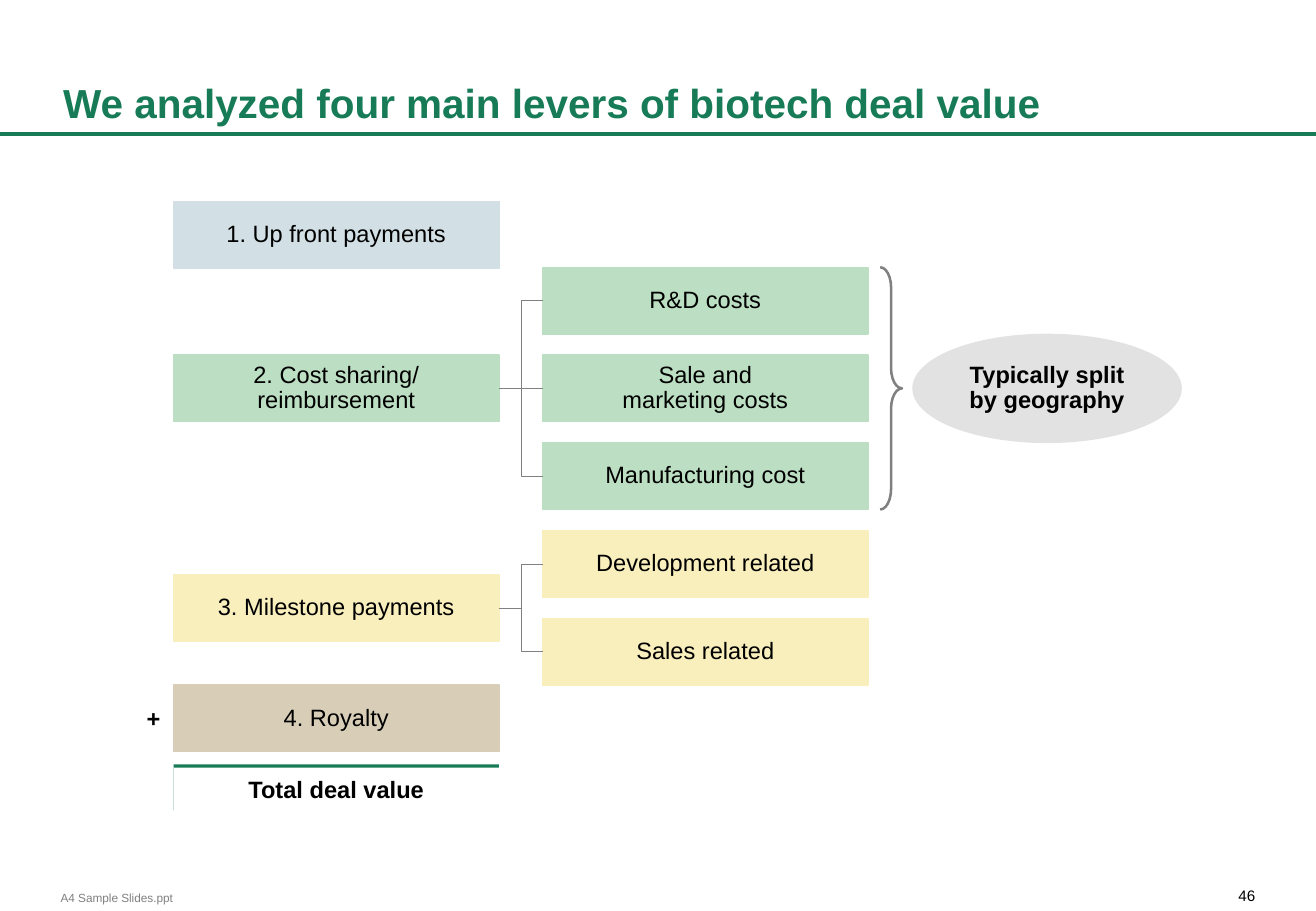
from dataclasses import dataclass

from lxml.etree import SubElement
from pptx import Presentation
from pptx.dml.color import RGBColor
from pptx.enum.shapes import MSO_CONNECTOR, MSO_SHAPE
from pptx.enum.text import MSO_ANCHOR, PP_ALIGN
from pptx.oxml.ns import qn
from pptx.util import Inches, Pt


@dataclass(frozen=True)
class Theme:
    font: str = "Arial"
    green: str = "177B57"
    ink: str = "000000"
    gray: str = "808080"
    paper: str = "FFFFFF"
    upfront: str = "D2E0E6"
    cost: str = "BCDEC2"
    milestone: str = "F9EFBD"
    royalty: str = "D8CEB8"
    callout: str = "E2E2E2"
    title_size: int = 24
    body_size: int = 14
    number_size: int = 9
    footer_size: int = 7


THEME = Theme()

TITLE = "We analyzed four main levers of biotech deal value"
LEVERS = [
    ("1. Up front payments", THEME.upfront, 1.66, []),
    ("2. Cost sharing/\nreimbursement", THEME.cost, None,
     ["R&D costs", "Sale and\nmarketing costs", "Manufacturing cost"]),
    ("3. Milestone payments", THEME.milestone, None,
     ["Development related", "Sales related"]),
    ("4. Royalty", THEME.royalty, 5.64, []),
]
SPLIT_NOTE = "Typically split\nby geography"
SPLIT_LEVER = 1
TOTAL = "Total deal value"
PLUS = "+"
FOOTER = "A4 Sample Slides.ppt"
PAGE_NUMBER = "46"

SLIDE_W, SLIDE_H = 10.84, 7.5
LEVER_X, PART_X = 1.43, 4.47
BOX_W, BOX_H = 2.68, 0.55
FIRST_PART_Y, LAST_PART_Y = 2.2, 5.09
PART_COUNT = sum(len(parts) for _, _, _, parts in LEVERS)
PART_PITCH = (LAST_PART_Y - FIRST_PART_Y) / (PART_COUNT - 1)
BRACE_X, BRACE_W = 7.25, 0.18
NOTE_X, NOTE_W, NOTE_H = 7.52, 2.21, 0.89

prs = Presentation()
prs.slide_width, prs.slide_height = Inches(SLIDE_W), Inches(SLIDE_H)
slide = prs.slides.add_slide(prs.slide_layouts[6])


def rgb(color):
    return RGBColor.from_string(color)


def write(shape, text, size=THEME.body_size, color=THEME.ink, bold=False,
          align=PP_ALIGN.CENTER, anchor=MSO_ANCHOR.MIDDLE, spacing=0.9,
          margins=(0.1, 0.05)):
    frame = shape.text_frame
    frame.word_wrap = True
    frame.vertical_anchor = anchor
    frame.margin_left = frame.margin_right = Inches(margins[0])
    frame.margin_top = frame.margin_bottom = Inches(margins[1])
    frame.text = text
    for paragraph in frame.paragraphs:
        paragraph.alignment = align
        paragraph.line_spacing = spacing
        paragraph.font.name = THEME.font
        paragraph.font.size = Pt(size)
        paragraph.font.bold = bold
        paragraph.font.color.rgb = rgb(color)


def add_label(text, x, y, w, h, **text_format):
    label = slide.shapes.add_textbox(Inches(x), Inches(y), Inches(w), Inches(h))
    write(label, text, spacing=1.0, **text_format)


def add_block(kind, x, y, w, h, fill=None, line=None, weight=0.75):
    block = slide.shapes.add_shape(kind, Inches(x), Inches(y), Inches(w), Inches(h))
    block.shadow.inherit = False
    if fill:
        block.fill.solid()
        block.fill.fore_color.rgb = rgb(fill)
    else:
        block.fill.background()
    if line:
        block.line.color.rgb = rgb(line)
        block.line.width = Pt(weight)
    else:
        block.line.fill.background()
    return block


def add_box(text, x, y, color):
    box = add_block(MSO_SHAPE.RECTANGLE, x, y, BOX_W, BOX_H, color, color)
    write(box, text)
    return box


def add_line(kind, x1, y1, x2, y2, color, weight):
    line = slide.shapes.add_connector(kind, Inches(x1), Inches(y1), Inches(x2), Inches(y2))
    line.line.color.rgb = rgb(color)
    line.line.width = Pt(weight)
    SubElement(line._element.spPr, qn("a:effectLst"))
    return line


def link(lever, part, lever_y, part_y):
    level = abs(lever_y - part_y) < 0.01
    kind = MSO_CONNECTOR.STRAIGHT if level else MSO_CONNECTOR.ELBOW
    branch = add_line(kind, LEVER_X + BOX_W, lever_y + BOX_H / 2,
                      PART_X, part_y + BOX_H / 2, THEME.gray, 0.25)
    branch.begin_connect(lever, 3)
    branch.end_connect(part, 1)


def add_top_shadow(shape, color, distance):
    effects = shape._element.spPr.find(qn("a:effectLst"))
    shadow = SubElement(effects, qn("a:outerShdw"), dist=str(Pt(distance)),
                        dir="16200000", algn="ctr", rotWithShape="0")
    SubElement(shadow, qn("a:srgbClr"), val=color)


def add_split_note(top, bottom):
    brace = add_block(MSO_SHAPE.RIGHT_BRACE, BRACE_X, top, BRACE_W, bottom - top,
                      line=THEME.gray, weight=1.5)
    brace.adjustments[0] = 0.93
    note = add_block(MSO_SHAPE.OVAL, NOTE_X, (top + bottom - NOTE_H) / 2,
                     NOTE_W, NOTE_H, THEME.callout, THEME.callout)
    write(note, SPLIT_NOTE, bold=True)


add_line(MSO_CONNECTOR.STRAIGHT, 0, 1.1, SLIDE_W, 1.1, THEME.green, 2.25)
add_label(TITLE, 0.52, 0.18, 9.82, 0.91, size=THEME.title_size, color=THEME.green,
          bold=True, align=PP_ALIGN.LEFT, anchor=MSO_ANCHOR.BOTTOM, margins=(0, 0.05))

next_part_y = FIRST_PART_Y
for index, (name, color, fixed_y, part_names) in enumerate(LEVERS):
    part_ys = [next_part_y + PART_PITCH * i for i in range(len(part_names))]
    next_part_y += PART_PITCH * len(part_names)
    lever_y = (part_ys[0] + part_ys[-1]) / 2 if part_ys else fixed_y
    lever = add_box(name, LEVER_X, lever_y, color)
    for part_name, part_y in zip(part_names, part_ys):
        part = add_box(part_name, PART_X, part_y, color)
        link(lever, part, lever_y, part_y)
    if index == SPLIT_LEVER:
        add_split_note(part_ys[0], part_ys[-1] + BOX_H)

total = add_block(MSO_SHAPE.RECTANGLE, LEVER_X, 6.32, BOX_W, 0.38, THEME.paper)
add_top_shadow(total, THEME.green, 2)
write(total, TOTAL, bold=True)
add_label(PLUS, 1.11, 5.75, 0.31, 0.34, bold=True, anchor=MSO_ANCHOR.TOP)

add_label(FOOTER, 0.5, 7.33, 2, 0.12, size=THEME.footer_size, color=THEME.gray,
          align=PP_ALIGN.LEFT, margins=(0, 0))
add_label(PAGE_NUMBER, 9.84, 7.3, 0.5, 0.15, size=THEME.number_size,
          align=PP_ALIGN.RIGHT, anchor=MSO_ANCHOR.TOP, margins=(0, 0))

prs.save("out.pptx")
